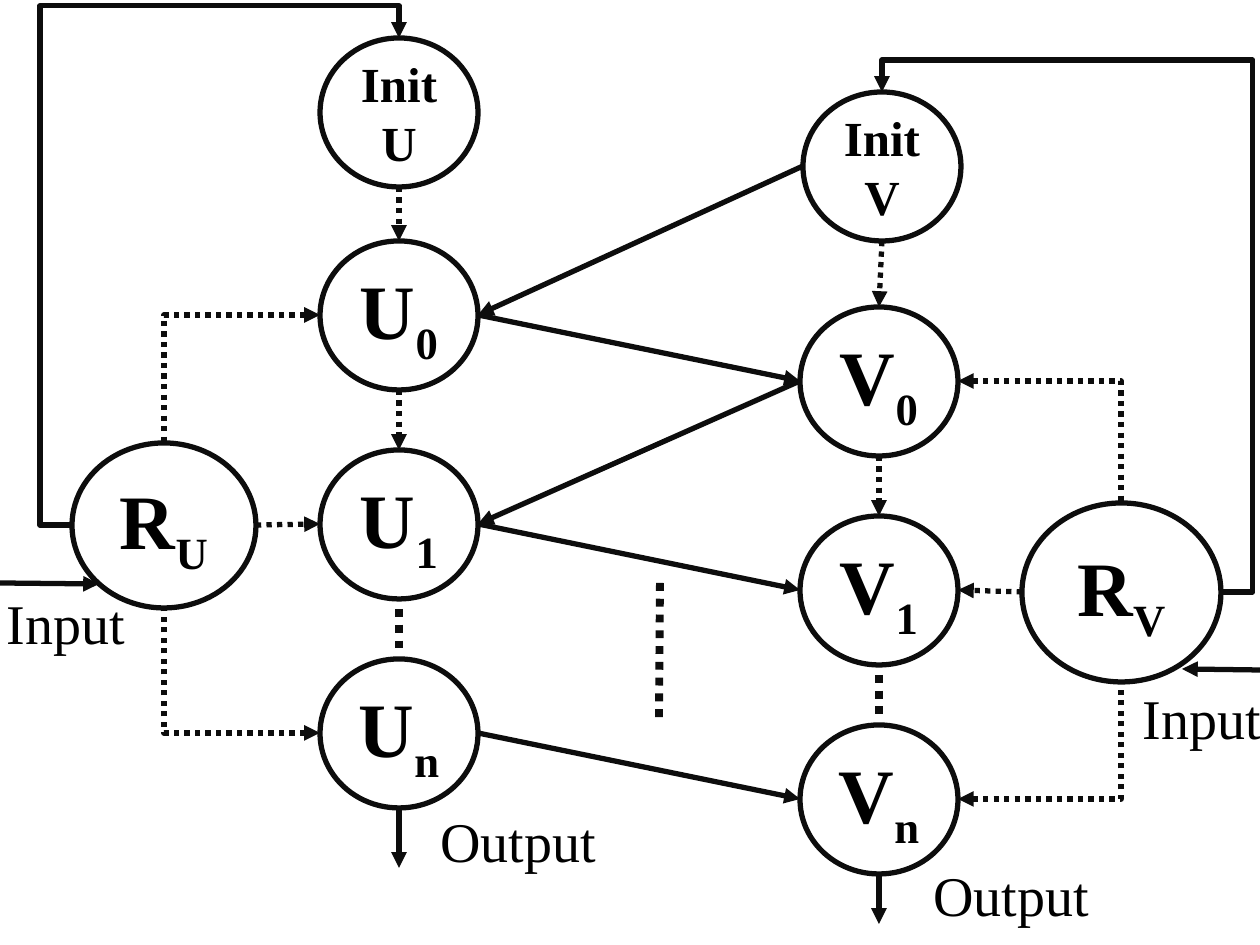
from collections import namedtuple

from lxml import etree
from pptx import Presentation
from pptx import util as u
from pptx.dml.color import RGBColor
from pptx.enum import dml, shapes, text
from pptx.oxml import ns

PX = 914400 // 126
INK = RGBColor(0x0D, 0x0D, 0x0D)
BLACK = RGBColor(0, 0, 0)
FONT = "Times New Roman"
STATE_W, STATE_H, STEP = 158, 149, 209
NO_MARGINS = dict.fromkeys(
    ("margin_left", "margin_right", "margin_top", "margin_bottom"), 0
)
CENTRED = {"vertical_anchor": text.MSO_ANCHOR.MIDDLE, "word_wrap": False, **NO_MARGINS}

Box = namedtuple("Box", "left top width height")


def apply(target, values):
    for name, value in values.items():
        setattr(target, name, value)


def port(box, side):
    x, y = box.left + box.width // 2, box.top + box.height // 2
    return {
        "left": (box.left, y),
        "right": (box.left + box.width, y),
        "top": (x, box.top),
        "bottom": (x, box.top + box.height),
    }[side]


def write(paragraph, words, size, bold=False):
    run = paragraph.add_run()
    run.text = words
    apply(run.font, {"name": FONT, "size": u.Pt(size), "bold": bold})
    run.font.color.rgb = BLACK
    return run


def state(slide, box, letter, subscript="", title=""):
    circle = slide.shapes.add_shape(
        shapes.MSO_SHAPE.OVAL, *(length * PX for length in box)
    )
    circle.shadow.inherit = False
    circle.fill.background()
    circle.line.color.rgb = INK
    circle.line.width = u.Pt(3)
    apply(circle.text_frame, CENTRED)
    paragraph = circle.text_frame.paragraphs[0]
    paragraph.alignment = text.PP_ALIGN.CENTER
    if title:
        write(paragraph, title, 28, True)
        paragraph.add_line_break()
    write(paragraph, letter, 28 if title else 44, True)
    if subscript:
        lowered = write(paragraph, subscript, 44, True)
        lowered._r.get_or_add_rPr().set("baseline", "-25000")
    return box


def link(slide, start, end, arrow="tailEnd", dotted=False, width=3, bend=None, adjust=()):
    kind = shapes.MSO_CONNECTOR.ELBOW if bend else shapes.MSO_CONNECTOR.STRAIGHT
    wire = slide.shapes.add_connector(kind, *(v * PX for v in (*start, *end)))
    wire.line.color.rgb = INK
    wire.line.width = u.Pt(width)
    if dotted:
        wire.line.dash_style = dml.MSO_LINE.ROUND_DOT
    properties = wire._element.spPr
    if arrow:
        outline = properties.find(ns.qn("a:ln"))
        etree.SubElement(outline, ns.qn("a:" + arrow), type="triangle")
    etree.SubElement(properties, ns.qn("a:effectLst"))
    if bend:
        geometry = properties.find(ns.qn("a:prstGeom"))
        geometry.set("prst", bend)
        guides = geometry.find(ns.qn("a:avLst"))
        for number, ratio in enumerate(adjust, 1):
            etree.SubElement(
                guides, ns.qn("a:gd"), name=f"adj{number}",
                fmla=f"val {round(ratio * 100000)}",
            )


def label(slide, left, top, width, words):
    box = slide.shapes.add_textbox(left * PX, top * PX, width * PX, 81 * PX)
    box.text_frame.word_wrap = True
    write(box.text_frame.paragraphs[0], words, 32)


def register_links(slide, register, column, near, far):
    for target, side in ((column[0], "top"), (column[2], "bottom")):
        link(slide, port(target, near), port(register, side), arrow="headEnd",
             dotted=True, bend="bentConnector2")
    link(slide, port(register, far), port(column[1], near), dotted=True)


def feedback(slide, register, side, init):
    start, end = port(register, side), port(init, "top")
    reach = -32 / abs(end[0] - start[0])
    rise = 1 + 32 / abs(end[1] - start[1])
    link(slide, start, end, bend="bentConnector4", adjust=(reach, rise))


def main():
    deck = Presentation()
    deck.slide_width, deck.slide_height = u.Inches(10), u.Inches(7.5)
    slide = deck.slides.add_slide(deck.slide_layouts[6])

    u_states, v_states = (
        [
            state(slide, Box(left, top + row * STEP, STATE_W, STATE_H), letter, index)
            for row, index in enumerate("01n")
        ]
        for letter, left, top in (("U", 320, 241), ("V", 800, 307))
    )
    init_u = state(slide, Box(320, 38, STATE_W, STATE_H), "U", title="Init")
    init_v = state(slide, Box(803, 92, STATE_W, STATE_H), "V", title="Init")
    register_u = state(slide, Box(72, 443, 184, 165), "R", "U")
    register_v = state(slide, Box(1022, 503, 199, 179), "R", "V")

    for u_state, v_state in zip(u_states, v_states):
        link(slide, port(u_state, "right"), port(v_state, "left"))
    for v_state, u_state in zip((init_v, v_states[0]), u_states):
        link(slide, port(v_state, "left"), port(u_state, "right"))

    for init, column, output_length in ((init_u, u_states, 60), (init_v, v_states, 50)):
        for upper, lower in zip((init, column[0]), column):
            link(slide, port(upper, "bottom"), port(lower, "top"), dotted=True)
        x, y = port(column[1], "bottom")
        link(slide, (x, y + 10), (x, y + 55), arrow=None, dotted=True, width=4.5)
        x, y = port(column[2], "bottom")
        link(slide, (x, y), (x, y + output_length))
    link(slide, (660, 583), (659, 718), arrow=None, dotted=True, width=4.5)

    register_links(slide, register_u, u_states, "left", "right")
    register_links(slide, register_v, v_states, "right", "left")
    feedback(slide, register_u, "left", init_u)
    feedback(slide, register_v, "right", init_v)
    link(slide, (0, 583), (99, 584))
    link(slide, (1260, 670), (1182, 669))

    for left, top, width, words in (
        (-6, 582, 145, "Input"),
        (1130, 677, 160, "Input"),
        (428, 800, 233, "Output"),
        (921, 854, 238, "Output"),
    ):
        label(slide, left, top, width, words)

    deck.save("out.pptx")


if __name__ == "__main__":
    main()
